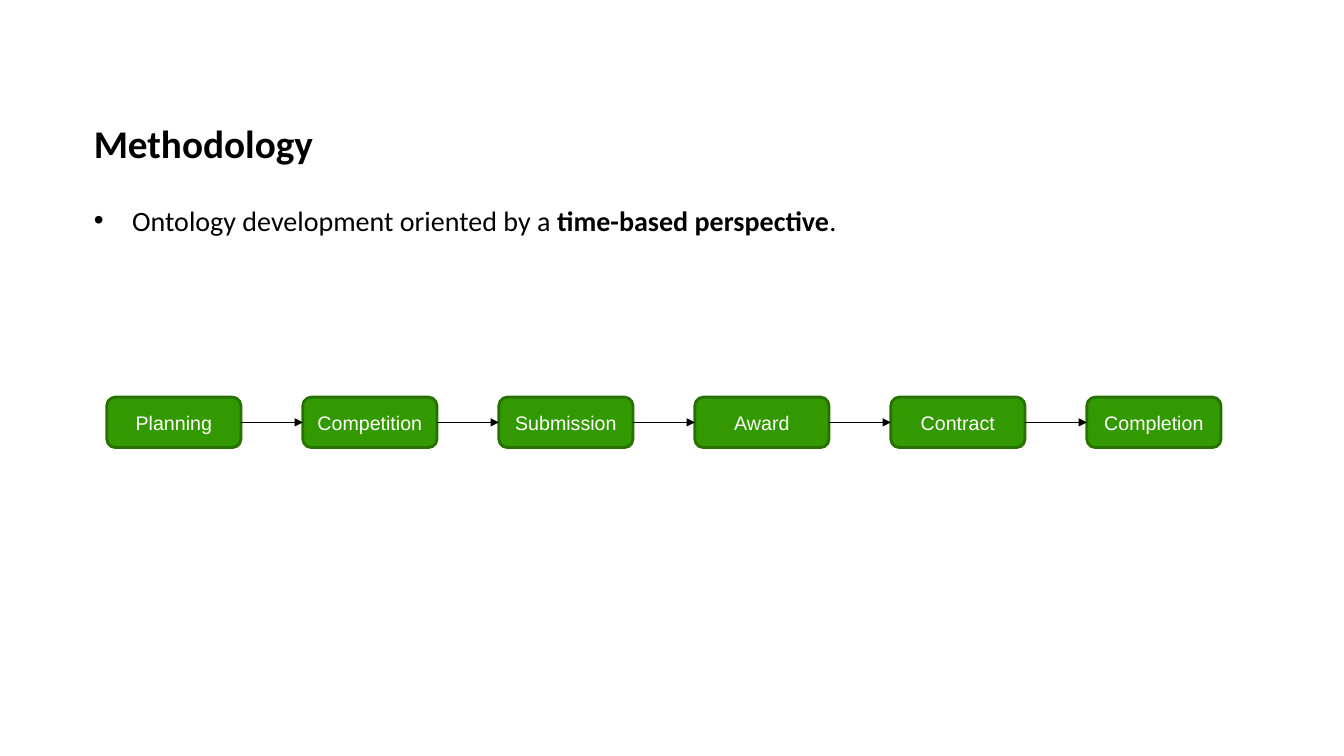
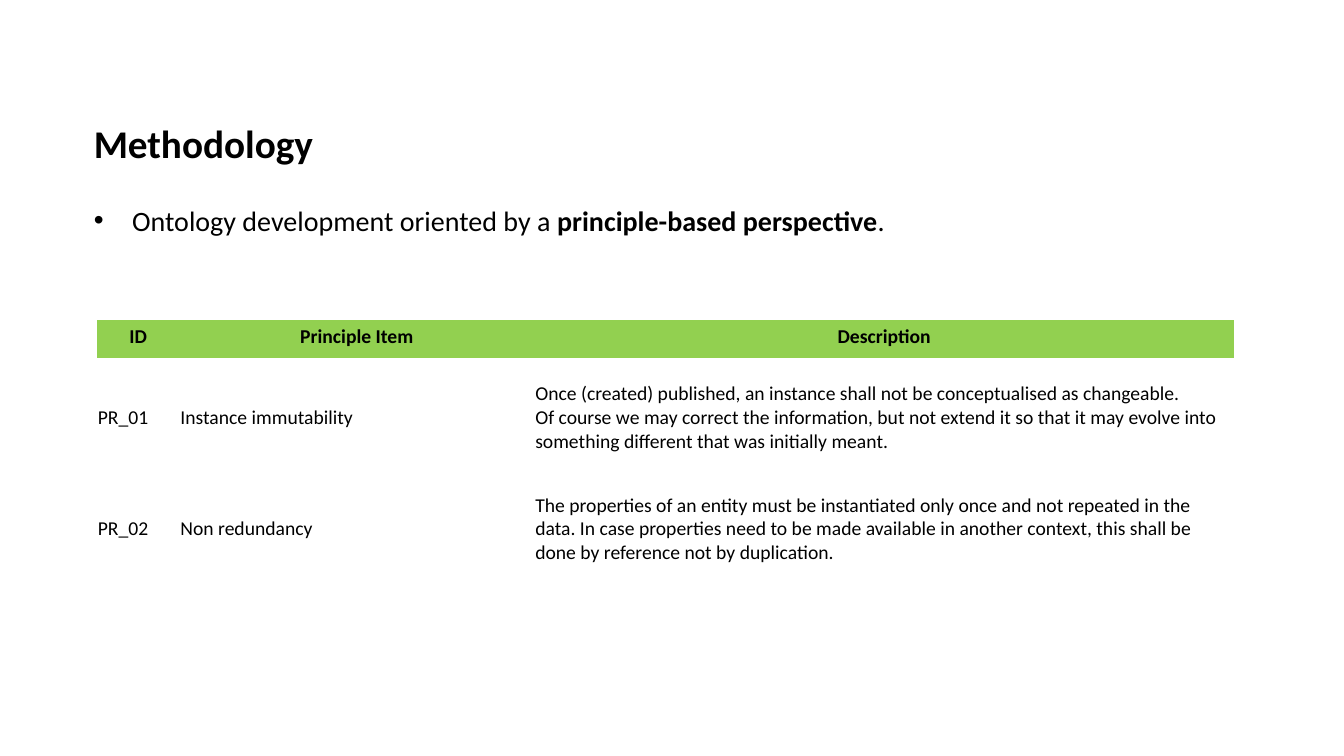
from itertools import pairwise

from pptx import Presentation
from pptx import util as u
from pptx.dml.color import RGBColor
from pptx.enum import shapes, text
from pptx.oxml.ns import qn
from lxml import etree

PX = 9144
BLACK = RGBColor(0x00, 0x00, 0x00)
WHITE = RGBColor(0xFF, 0xFF, 0xFF)
GREEN = RGBColor(0x33, 0x99, 0x00)
DARK_GREEN = RGBColor(0x26, 0x71, 0x00)
LIME = RGBColor(0x92, 0xD0, 0x50)
BODY_FONT = "Calibri"
STEP_FONT = "Arial"
PLAIN_TABLE = "{2D5ABB26-0587-4C30-8999-92F81FD0307C}"
TITLE_BOX = (93, 21, 1148, 145)
LEAD_BOX = (93, 197, 1149, 50)
STEPS = ["Planning", "Competition", "Submission", "Award", "Contract", "Completion"]
PRINCIPLES = [
    ("ID", "Principle Item", "Description"),
    ("PR_01", "Instance immutability",
     "Once (created) published, an instance shall not be conceptualised as changeable.\v"
     "Of course we may correct the information, but not extend it so that it may evolve "
     "into something different that was initially meant."),
    ("PR_02", "Non redundancy",
     "The properties of an entity must be instantiated only once and not repeated in the "
     "data. In case properties need to be made available in another context, this shall be "
     "done by reference not by duplication."),
]


def px(*lengths):
    """Turn px lengths into EMU."""
    return [u.Emu(round(length * PX)) for length in lengths]


def set_font(para, name, size, color, bold=False):
    """Format a whole paragraph."""
    font = para.font
    font.name, font.size, font.bold = name, u.Pt(size), bold
    font.color.rgb = color


def set_insets(frame, left, top, right, bottom):
    """Set the insets of a text frame or table cell."""
    (frame.margin_left, frame.margin_top,
     frame.margin_right, frame.margin_bottom) = px(left, top, right, bottom)


def add_bullet(para, indent):
    """Give a paragraph a black round bullet with a hanging indent."""
    props = para._p.get_or_add_pPr()
    props.set("marL", str(indent * PX))
    props.set("indent", str(-indent * PX))
    color = etree.SubElement(props, qn("a:buClr"))
    etree.SubElement(color, qn("a:srgbClr"), val=str(BLACK))
    etree.SubElement(props, qn("a:buFont"), typeface="Arial")
    etree.SubElement(props, qn("a:buChar"), char="•")


def add_page(deck, perspective):
    """Add a methodology slide with its title and lead sentence."""
    page = deck.slides.add_slide(deck.slide_layouts[5])
    title = page.shapes.title
    title.left, title.top, title.width, title.height = px(*TITLE_BOX)
    frame = title.text_frame
    frame.text = "Methodology"
    frame.auto_size = text.MSO_AUTO_SIZE.NONE
    frame.vertical_anchor = text.MSO_ANCHOR.BOTTOM
    set_insets(frame, 0, 5, 0, 0)
    para = frame.paragraphs[0]
    para.alignment = text.PP_ALIGN.LEFT
    para.line_spacing = 0.9
    set_font(para, BODY_FONT, 28, BLACK, True)

    frame = page.shapes.add_textbox(*px(*LEAD_BOX)).text_frame
    frame.word_wrap = True
    set_insets(frame, 0, 5, 10, 5)
    para = frame.paragraphs[0]
    add_bullet(para, 38)
    set_font(para, BODY_FONT, 20, BLACK)
    for words, bold in (("Ontology development oriented by a ", False),
                        (perspective, True), (".", False)):
        span = para.add_run()
        span.text = words
        span.font.bold = bold
    return page


def add_step(page, name, left, top, width, height):
    """Add one rounded step of the process."""
    step = page.shapes.add_shape(shapes.MSO_SHAPE.ROUNDED_RECTANGLE,
                                 *px(left, top, width, height))
    step.shadow.inherit = False
    step.fill.solid()
    step.fill.fore_color.rgb = GREEN
    step.line.color.rgb = DARK_GREEN
    step.line.width = u.Pt(2)
    frame = step.text_frame
    frame.text = name
    frame.vertical_anchor = text.MSO_ANCHOR.MIDDLE
    para = frame.paragraphs[0]
    para.alignment = text.PP_ALIGN.CENTER
    set_font(para, STEP_FONT, 14, WHITE)
    return step


def add_arrow(page, source, target):
    """Join two steps with an arrow."""
    arrow = page.shapes.add_connector(shapes.MSO_CONNECTOR.STRAIGHT, 0, 0, 0, 0)
    arrow.begin_connect(source, 3)
    arrow.end_connect(target, 1)
    arrow.line.color.rgb = BLACK
    arrow.line.width = u.Pt(0.75)
    etree.SubElement(arrow.line._get_or_add_ln(), qn("a:tailEnd"), type="triangle")
    etree.SubElement(arrow._element.spPr, qn("a:effectLst"))


def add_process(page, names, left, top, width, height, step_width=133):
    """Spread the steps evenly over a box and link them."""
    pitch = (width - step_width) / (len(names) - 1)
    steps = [add_step(page, name, left + pitch * index, top, step_width, height)
             for index, name in enumerate(names)]
    for source, target in pairwise(steps):
        add_arrow(page, source, target)


def add_principles(page, rows, left, top, widths, heights):
    """Add the table of principles with a coloured header row."""
    table = page.shapes.add_table(len(rows), len(widths),
                                  *px(left, top, sum(widths), sum(heights))).table
    table.horz_banding = False
    table._tbl.tblPr.find(qn("a:tableStyleId")).text = PLAIN_TABLE
    for column, width in zip(table.columns, px(*widths)):
        column.width = width
    for row, height in zip(table.rows, px(*heights)):
        row.height = height
    for row_index, row in enumerate(rows):
        header = row_index == 0
        for column_index, words in enumerate(row):
            cell = table.cell(row_index, column_index)
            cell.text_frame.text = words
            cell.vertical_anchor = text.MSO_ANCHOR.MIDDLE
            set_insets(cell, 1, 1, 1, 5)
            para = cell.text_frame.paragraphs[0]
            para.alignment = text.PP_ALIGN.CENTER if header else text.PP_ALIGN.LEFT
            set_font(para, BODY_FONT, 14, BLACK, header)
            if header:
                cell.fill.solid()
                cell.fill.fore_color.rgb = LIME
            else:
                cell.fill.background()


def main():
    """Build and save the deck."""
    deck = Presentation()
    deck.slide_width, deck.slide_height = px(1333, 750)
    page = add_page(deck, "time-based perspective")
    add_process(page, STEPS, 106, 394, 1105, 50)
    page = add_page(deck, "principle-based perspective")
    add_principles(page, PRINCIPLES, 96, 317, (82, 352, 694), (38, 123, 98))
    deck.save("out.pptx")


if __name__ == "__main__":
    main()
